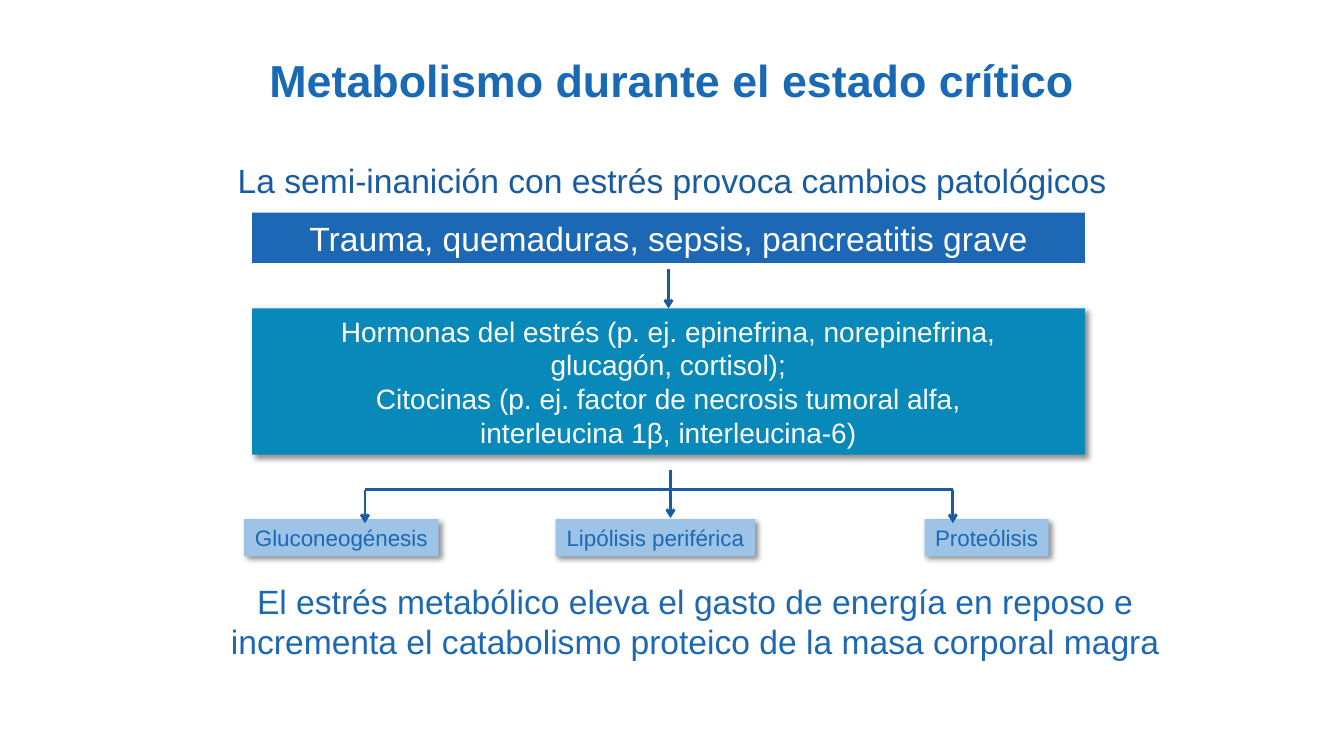
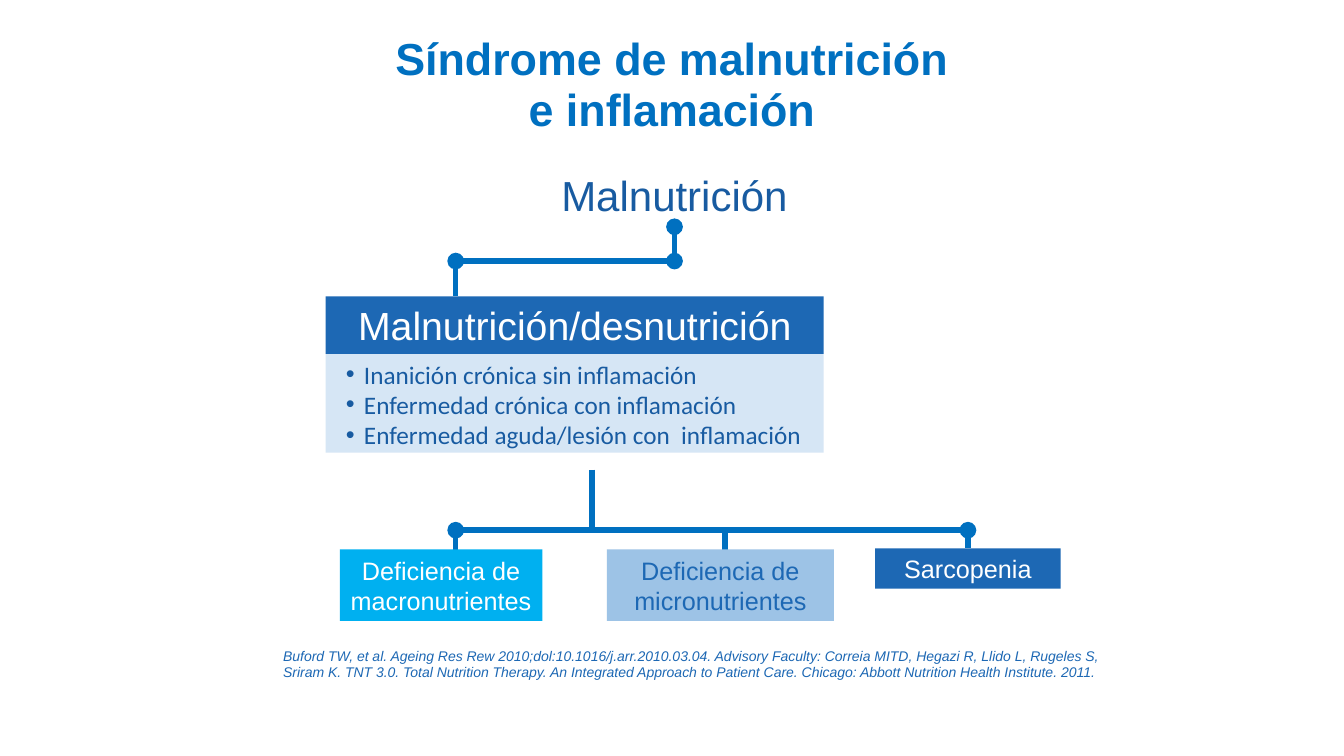
import lxml.etree
import pptx
import pptx.dml.color
import pptx.enum.shapes
import pptx.enum.text
import pptx.oxml.ns
import pptx.util
from pptx.util import Inches

BLUE = "1D68B4"
DARK_BLUE = "185BA1"
BRIGHT_BLUE = "0070C0"
TEAL = "0988BA"
CYAN = "00B0F0"
LIGHT_BLUE = "9DC3E6"
PALE_BLUE = "D6E6F5"
WHITE = "FFFFFF"

ALIGN = pptx.enum.text.PP_ALIGN
ANCHOR = pptx.enum.text.MSO_ANCHOR
TITLE_ONLY, TITLE_AND_CONTENT = 5, 1
TOP, BOTTOM = 0, 2


def rgb(color):
    return pptx.dml.color.RGBColor.from_string(color)


def add_xml(parent, tag, **attributes):
    child = lxml.etree.SubElement(parent, pptx.oxml.ns.qn(tag))
    for name, value in attributes.items():
        child.set(name, str(value))
    return child


def place(shape, left, top, width, height):
    shape.left, shape.top = Inches(left), Inches(top)
    shape.width, shape.height = Inches(width), Inches(height)


def write(shape, text, size, color, align=ALIGN.CENTER, anchor=ANCHOR.MIDDLE,
          font="Arial", bold=False, italic=False, wrap=True, spacing=1.0):
    frame = shape.text_frame
    frame.text = text
    frame.word_wrap = wrap
    frame.auto_size = pptx.enum.text.MSO_AUTO_SIZE.NONE
    frame.vertical_anchor = anchor
    for paragraph in frame.paragraphs:
        paragraph.alignment = align
        paragraph.line_spacing = spacing
        paragraph.space_before = pptx.util.Pt(0)
        for run in paragraph.runs:
            run.font.name = font
            run.font.size = pptx.util.Pt(size)
            run.font.bold = bold
            run.font.italic = italic
            run.font.color.rgb = rgb(color)


def add_titled_slide(presentation, layout, title, color, top):
    slide = presentation.slides.add_slide(presentation.slide_layouts[layout])
    place(slide.shapes.title, 2.27, top, 8.79, 1)
    write(slide.shapes.title, title, 32, color, bold=True, spacing=0.95)
    return slide


def add_text(slide, bounds, text, size, color, **style):
    box = slide.shapes.add_textbox(*map(Inches, bounds))
    write(box, text, size, color, anchor=ANCHOR.TOP, **style)
    return box


def add_box(slide, bounds, text, size, fill, color=WHITE, shadow=False, wrap=True):
    box = slide.shapes.add_shape(
        pptx.enum.shapes.MSO_SHAPE.RECTANGLE, *map(Inches, bounds))
    box.fill.solid()
    box.fill.fore_color.rgb = rgb(fill)
    box.line.fill.background()
    box.shadow.inherit = False
    if shadow:
        add_shadow(box)
    write(box, text, size, color, wrap=wrap)
    return box


def add_shadow(shape):
    effects = shape._element.spPr.find(pptx.oxml.ns.qn("a:effectLst"))
    outer = add_xml(effects, "a:outerShdw", blurRad=pptx.util.Pt(4),
                    dist=pptx.util.Pt(3), dir=45 * 60000, rotWithShape=0)
    shade = add_xml(outer, "a:srgbClr", val="000000")
    add_xml(shade, "a:alpha", val=43000)


def add_line(slide, start, end, color, width, head=None, tail=None):
    """Draw a straight line; head and tail name the ends at start and end."""
    line = slide.shapes.add_connector(
        pptx.enum.shapes.MSO_CONNECTOR.STRAIGHT, *map(Inches, start + end))
    line.line.color.rgb = rgb(color)
    line.line.width = pptx.util.Pt(width)
    outline = line.line._get_or_add_ln()
    for tag, kind in (("a:headEnd", head), ("a:tailEnd", tail)):
        if kind:
            add_xml(outline, tag, type=kind)
    add_xml(line._element.spPr, "a:effectLst")
    return line


def add_bullet_list(slide, bounds, items):
    body = slide.placeholders[1]
    place(body, *bounds)
    body.fill.solid()
    body.fill.fore_color.rgb = rgb(PALE_BLUE)
    write(body, "\n".join(items), 18, DARK_BLUE, align=ALIGN.LEFT,
          anchor=ANCHOR.TOP, font="Calibri")
    for paragraph in body.text_frame.paragraphs:
        properties = paragraph._p.get_or_add_pPr()
        properties.set("marL", str(Inches(0.28)))
        properties.set("indent", str(-Inches(0.18)))
        add_xml(properties, "a:buFont", typeface="Arial")
        add_xml(properties, "a:buChar", char="•")


def build_metabolism(presentation):
    slide = add_titled_slide(presentation, TITLE_ONLY,
                             "Metabolismo durante el estado crítico", "1969B5", 0.32)
    add_text(slide, (2.03, 1.54, 9.27, 0.5),
             "La semi-inanición con estrés provoca cambios patológicos", 24, DARK_BLUE)
    add_box(slide, (2.5, 2.11, 8.26, 0.5),
            "Trauma, quemaduras, sepsis, pancreatitis grave", 24, BLUE)
    mediators = add_box(
        slide, (2.5, 3.06, 8.26, 1.45),
        "Hormonas del estrés (p. ej. epinefrina, norepinefrina,\n"
        "glucagón, cortisol);\n"
        "Citocinas (p. ej. factor de necrosis tumoral alfa,\v"
        "interleucina 1β, interleucina-6)", 20, TEAL, shadow=True)
    for left, width, effect in ((2.42, 1.93, "Gluconeogénesis"),
                                (5.51, 1.98, "Lipólisis periférica"),
                                (9.17, 1.23, "Proteólisis")):
        add_box(slide, (left, 5.15, width, 0.37), effect, 16, LIGHT_BLUE, BLUE,
                shadow=True, wrap=False)
    add_text(slide, (2.06, 5.71, 9.67, 0.91),
             "El estrés metabólico eleva el gasto de energía en reposo e\n"
             "incrementa el catabolismo proteico de la masa corporal magra", 24, BLUE)

    cause = add_line(slide, (6.63, 2.67), (6.63, 3.06), DARK_BLUE, 2, tail="arrow")
    cause.end_connect(mediators, TOP)
    add_line(slide, (3.62, 4.86), (9.45, 4.86), DARK_BLUE, 2)
    for x, top, bottom in ((3.62, 4.86, 5.19), (6.65, 4.66, 5.14), (9.45, 4.86, 5.19)):
        add_line(slide, (x, top), (x, bottom), DARK_BLUE, 2, tail="arrow")


def build_malnutrition(presentation):
    slide = add_titled_slide(presentation, TITLE_AND_CONTENT,
                             "Síndrome de malnutrición\ve inflamación",
                             BRIGHT_BLUE, 0.35)
    add_bullet_list(slide, (3.23, 3.51, 4.94, 0.98),
                    ("Inanición crónica sin inflamación",
                     "Enfermedad crónica con inflamación",
                     "Enfermedad aguda/lesión con  inflamación"))
    root = add_text(slide, (4.98, 1.63, 3.42, 0.62), "Malnutrición", 30, DARK_BLUE)

    trunk = add_line(slide, (6.69, 2.25), (6.69, 2.59), BRIGHT_BLUE, 4, head="oval")
    trunk.begin_connect(root, BOTTOM)
    for y, right in ((2.59, 6.69), (5.26, 9.6)):
        add_line(slide, (4.52, y), (right, y), BRIGHT_BLUE, 4, "oval", "oval")
    for x, top, bottom in ((4.52, 2.59, 2.94), (5.87, 4.66, 5.26),
                           (4.52, 5.26, 5.47), (7.19, 5.26, 5.47)):
        add_line(slide, (x, top), (x, bottom), BRIGHT_BLUE, 4)

    add_box(slide, (3.23, 2.94, 4.94, 0.57), "Malnutrición/desnutrición", 28, BLUE)
    add_box(slide, (3.37, 5.45, 2.01, 0.71), "Deficiencia de\nmacronutrientes",
            18, CYAN, wrap=False)
    add_box(slide, (6.02, 5.45, 2.25, 0.71), "Deficiencia de\nmicronutrientes",
            18, LIGHT_BLUE, BLUE)
    sarcopenia = add_box(slide, (8.68, 5.44, 1.84, 0.4), "Sarcopenia", 18, BLUE)
    branch = add_line(slide, (9.6, 5.26), (9.6, 5.44), BRIGHT_BLUE, 4)
    branch.end_connect(sarcopenia, TOP)

    add_text(slide, (2.71, 6.37, 8.36, 0.59),
             "Buford TW, et al. Ageing Res Rew 2010;dol:10.1016/j.arr.2010.03.04. "
             "Advisory Faculty: Correia MITD, Hegazi R, Llido L, Rugeles S, Sriram K. "
             "TNT 3.0. Total Nutrition Therapy. An Integrated Approach to Patient Care. "
             "Chicago: Abbott Nutrition Health Institute. 2011.",
             10, BLUE, align=ALIGN.LEFT, italic=True)


def main():
    presentation = pptx.Presentation()
    presentation.slide_width = Inches(13.33)
    presentation.slide_height = Inches(7.5)
    build_metabolism(presentation)
    build_malnutrition(presentation)
    presentation.save("out.pptx")


if __name__ == "__main__":
    main()
